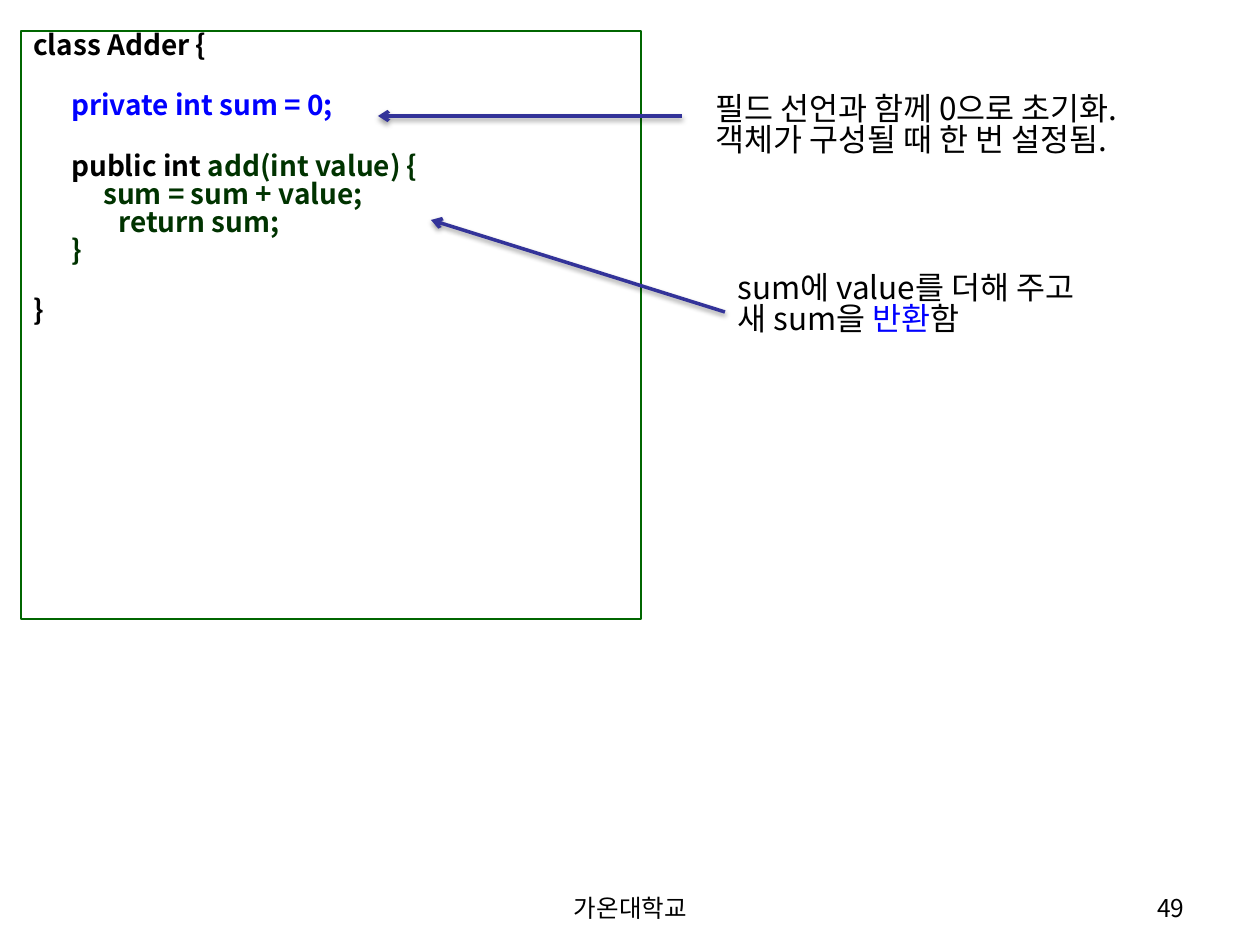
from lxml import etree
from pptx import Presentation
from pptx import util as u
from pptx.dml import color
from pptx.enum import shapes, text
from pptx.oxml import ns

SCALE = 914400 // 126
FONT = "Noto Sans CJK KR"
HUES = {"black": "000000", "blue": "0000FF", "dark": "003300",
        "frame": "006600", "arrow": "333399"}
TIGHT = 0.83  # line spacing of notes and footer
PITCH = 18.6  # height of one code line in points
GAP = 3.1     # space before a code line in points

# Code lines: indent in pixels, blank lines above, runs
CODE = [
    (0, 0, [("class Adder {", "black")]),
    (38, 1, [("private int sum = 0;", "blue")]),
    (38, 1, [("public int", "black"), (" add(int value) {", "dark")]),
    (70, 0, [("sum = sum + value;", "dark")]),
    (85, 0, [("return sum;", "dark")]),
    (38, 0, [("}", "dark")]),
    (0, 1, [("}", "black")]),
]
NOTES = [
    ((703, 89, 479, 89), [[("필드 선언과 함께 0으로 초기화.", "black")],
                          [("객체가 구성될 때 한 번 설정됨.", "black")]]),
    ((725, 268, 398, 89), [[("sum에 value를 더해 주고", "black")],
                           [("새 sum을 ", "black"), ("반환", "blue"), ("함", "black")]]),
]
ARROWS = [(682, 116, 378, 116), (725, 312, 431, 220)]
FOOTER = [((431, 892, 399, 34), "가온대학교", "CENTER"),
          ((903, 892, 294, 34), "49", "RIGHT")]


def px(*vals):
    return [u.Emu(v * SCALE) for v in vals]


def rgb(hue):
    return color.RGBColor.from_string(HUES[hue])


def put(obj, **form):
    for key, val in form.items():
        setattr(obj, key, val)


def write(para, runs, size, bold=False, **form):
    """Fill one paragraph with coloured runs."""
    put(para, **form)
    for words, hue in runs:
        run = para.add_run()
        run.text = words
        put(run.font, name=FONT, size=u.Pt(size), bold=bold)
        run.font.color.rgb = rgb(hue)
        latin = run.font._element.find(ns.qn("a:latin"))
        east = etree.Element(ns.qn("a:ea"), typeface=FONT)
        latin.addnext(east)


def lines(frame, count):
    """Return the paragraphs of a frame, one for each line."""
    return [frame.paragraphs[0]] + [frame.add_paragraph() for _ in range(count - 1)]


def code(slide, box):
    rect = slide.shapes.add_shape(shapes.MSO_SHAPE.RECTANGLE, *px(*box))
    rect.shadow.inherit = False
    rect.fill.background()
    rect.line.color.rgb = rgb("frame")
    rect.line.width = u.Pt(0.75)
    frame = rect.text_frame
    put(frame, word_wrap=True, vertical_anchor=text.MSO_ANCHOR.TOP)
    for para, (left, blank, runs) in zip(lines(frame, len(CODE)), CODE):
        write(para, runs, 16, True, alignment=text.PP_ALIGN.LEFT,
              line_spacing=0.67, space_before=u.Pt(GAP + blank * PITCH))
        para._p.get_or_add_pPr().set("marL", str(left * SCALE))


def note(slide, box, rows, size, wrap=False, align="LEFT"):
    frame = slide.shapes.add_textbox(*px(*box)).text_frame
    frame.word_wrap = wrap
    for para, runs in zip(lines(frame, len(rows)), rows):
        write(para, runs, size, line_spacing=TIGHT,
              alignment=getattr(text.PP_ALIGN, align))


def arrow(slide, ends):
    link = slide.shapes.add_connector(shapes.MSO_CONNECTOR.STRAIGHT, *px(*ends))
    link.line.color.rgb = rgb("arrow")
    link.line.width = u.Pt(2)
    # Arrowhead and soft shadow
    props = link._element.spPr
    etree.SubElement(link.line._get_or_add_ln(), ns.qn("a:tailEnd"), type="arrow")
    fx = etree.SubElement(props, ns.qn("a:effectLst"))
    shade = etree.SubElement(fx, ns.qn("a:outerShdw"), blurRad=str(u.Pt(3.1)),
                             dist=str(u.Pt(1.6)), dir="5400000", rotWithShape="0")
    tint = etree.SubElement(shade, ns.qn("a:srgbClr"), val=HUES["black"])
    etree.SubElement(tint, ns.qn("a:alpha"), val="38000")


def main():
    deck = Presentation()
    put(deck, slide_width=u.Inches(10), slide_height=u.Inches(7.5))
    slide = deck.slides.add_slide(deck.slide_layouts[6])
    # Code panel
    code(slide, (21, 31, 620, 588))
    # Notes and their arrows
    for (box, rows), ends in zip(NOTES, ARROWS):
        note(slide, box, rows, 18)
        arrow(slide, ends)
    # Footer
    for box, words, align in FOOTER:
        note(slide, box, [[(words, "black")]], 14, True, align)
    deck.save("out.pptx")


main()
